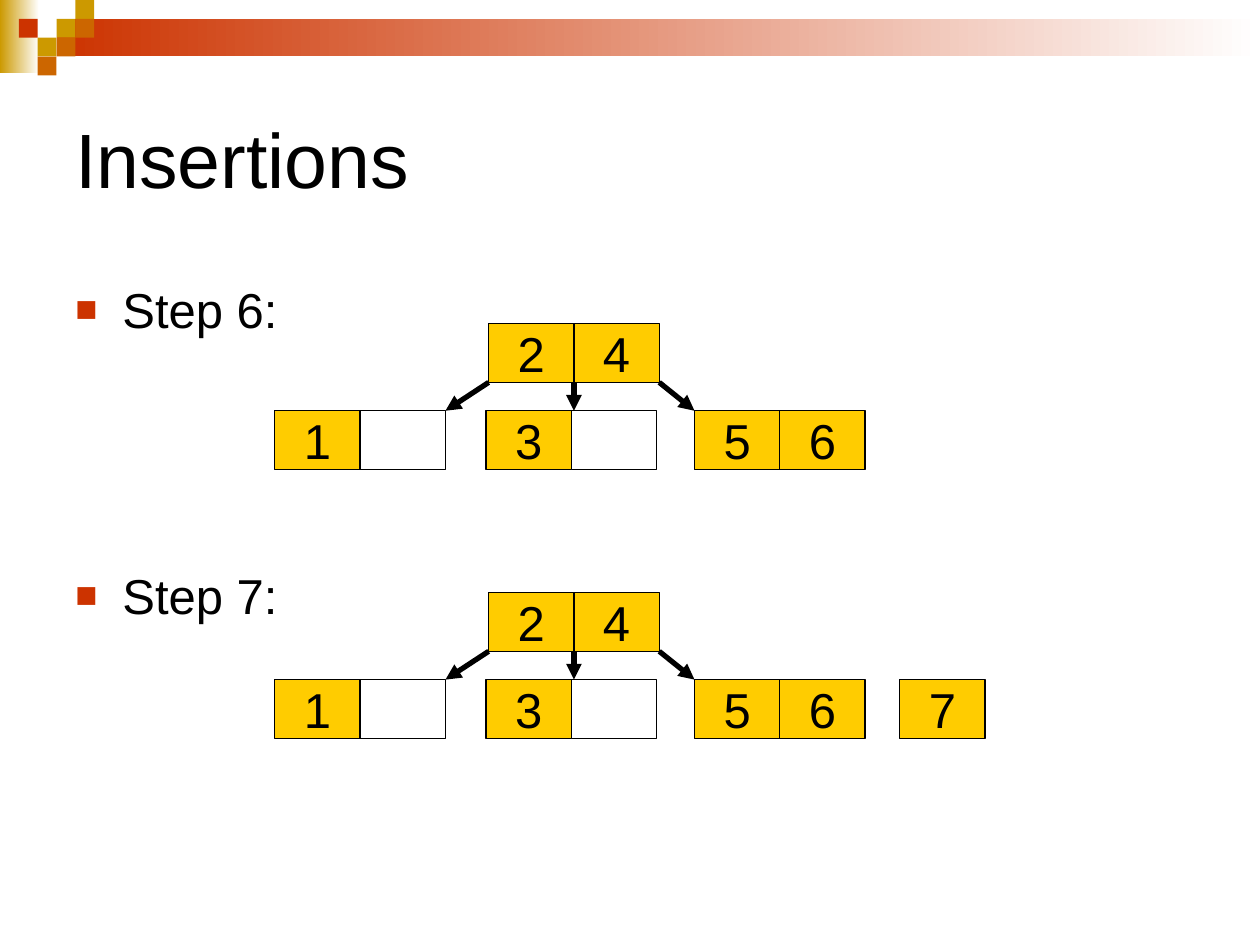
"""Build the slide on insertions into a 2-3 tree, steps 6 and 7."""
from dataclasses import dataclass

from lxml import etree
from pptx import Presentation
from pptx.dml.color import RGBColor
from pptx.enum.shapes import MSO_CONNECTOR, MSO_SHAPE
from pptx.enum.text import MSO_ANCHOR, PP_ALIGN
from pptx.oxml.ns import qn
from pptx.util import Cm, Pt

RECTANGLE = MSO_SHAPE.RECTANGLE
STRAIGHT = MSO_CONNECTOR.STRAIGHT
MIDDLE, TOP = MSO_ANCHOR.MIDDLE, MSO_ANCHOR.TOP
LEFT, CENTER = PP_ALIGN.LEFT, PP_ALIGN.CENTER


@dataclass(frozen=True)
class Theme:
    font: str = "Arial"
    ink: str = "000000"
    paper: str = "FFFFFF"
    key: str = "FFCC00"
    gold: str = "CC9900"
    orange: str = "CC6600"
    red: str = "CC3300"
    title_size: int = 44
    body_size: int = 28
    cell_line: float = 0.75
    arrow_line: float = 3


@dataclass(frozen=True)
class Node:
    left: float
    top: float
    keys: tuple[str, ...]

    @property
    def right(self) -> float:
        return self.left + len(self.keys) * CELL_WIDTH

    @property
    def bottom(self) -> float:
        return self.top + CELL_HEIGHT


@dataclass(frozen=True)
class Tile:
    column: int
    row: int
    color: str


@dataclass(frozen=True)
class Step:
    label: str
    space_before: float
    root_top: float
    extra_key: str = ""


THEME = Theme()
CELL_WIDTH, CELL_HEIGHT = 1.72, 1.19
TILE_SIZE = 0.38
ROOT_LEFT, LEAF_DROP, EXTRA_LEFT = 9.85, 1.76, 18.14
LEAVES = ((5.54, ("1", "")), (9.8, ("3", "")), (14, ("5", "6")))
STEPS = (Step("Step 6:", 7, 6.52), Step("Step 7:", 130, 11.94, "7"))
TILES = (
    Tile(3, 1, THEME.gold),
    Tile(4, 0, THEME.gold),
    Tile(4, 1, THEME.orange),
    Tile(2, 2, THEME.gold),
    Tile(1, 1, THEME.red),
    Tile(3, 2, THEME.orange),
    Tile(2, 3, THEME.orange),
)


def color(value: str) -> RGBColor:
    return RGBColor.from_string(value)


def write(paragraph, text: str, *, size: float, align=LEFT, space_before: float = 0) -> None:
    paragraph.alignment = align
    paragraph.space_before = Pt(space_before)
    run = paragraph.add_run()
    run.text = text
    run.font.name = THEME.font
    run.font.size = Pt(size)
    run.font.color.rgb = color(THEME.ink)


def add_bullet(paragraph) -> None:
    properties = paragraph._p.get_or_add_pPr()
    indent = Cm(0.95)
    properties.set("marL", str(indent))
    properties.set("indent", str(-indent))
    bullet_color = etree.SubElement(properties, qn("a:buClr"))
    etree.SubElement(bullet_color, qn("a:srgbClr"), val=THEME.red)
    etree.SubElement(properties, qn("a:buSzPct"), val="75000")
    etree.SubElement(properties, qn("a:buFont"), typeface=THEME.font)
    etree.SubElement(properties, qn("a:buChar"), char="■")


def add_rectangle(slide, left: float, top: float, width: float, height: float,
                  fill: str, fade_to: str = ""):
    rectangle = slide.shapes.add_shape(RECTANGLE, Cm(left), Cm(top), Cm(width), Cm(height))
    rectangle.shadow.inherit = False
    rectangle.line.fill.background()
    if fade_to:
        rectangle.fill.gradient()
        rectangle.fill.gradient_angle = 0
        for stop, value in zip(rectangle.fill.gradient_stops, (fill, fade_to)):
            stop.color.rgb = color(value)
    else:
        rectangle.fill.solid()
        rectangle.fill.fore_color.rgb = color(fill)
    return rectangle


def add_text_frame(slide, top: float, height: float, anchor):
    frame = slide.shapes.add_textbox(Cm(1.27), Cm(top), Cm(22.86), Cm(height)).text_frame
    frame.word_wrap = True
    frame.vertical_anchor = anchor
    return frame


def add_node(slide, node: Node) -> None:
    for index, key in enumerate(node.keys):
        cell = add_rectangle(slide, node.left + index * CELL_WIDTH, node.top, CELL_WIDTH,
                             CELL_HEIGHT, THEME.key if key else THEME.paper)
        cell.line.color.rgb = color(THEME.ink)
        cell.line.width = Pt(THEME.cell_line)
        if key:
            cell.text_frame.word_wrap = False
            cell.text_frame.vertical_anchor = MIDDLE
            write(cell.text_frame.paragraphs[0], key, size=THEME.body_size, align=CENTER)


def add_arrow(slide, start: tuple[float, float], end: tuple[float, float]) -> None:
    arrow = slide.shapes.add_connector(STRAIGHT, *map(Cm, start + end))
    arrow.line.color.rgb = color(THEME.ink)
    arrow.line.width = Pt(THEME.arrow_line)
    etree.SubElement(arrow.line._get_or_add_ln(), qn("a:tailEnd"), type="triangle")
    etree.SubElement(arrow._element.spPr, qn("a:effectLst"))


def add_tree(slide, step: Step) -> None:
    root = Node(ROOT_LEFT, step.root_top, ("2", "4"))
    leaf_top = root.top + LEAF_DROP
    leaves = [Node(left, leaf_top, keys) for left, keys in LEAVES]
    for node in (root, *leaves):
        add_node(slide, node)
    if step.extra_key:
        add_node(slide, Node(EXTRA_LEFT, leaf_top, (step.extra_key,)))
    root_middle = root.left + CELL_WIDTH
    for start, end in ((root.left, leaves[0].right), (root_middle, root_middle),
                       (root.right, leaves[2].left)):
        add_arrow(slide, (start, root.bottom), (end, leaf_top))


def add_banner(slide) -> None:
    add_rectangle(slide, 0, 0, 0.79, 1.47, THEME.gold, THEME.paper)
    add_rectangle(slide, 1.14, 0.38, 24.26, 0.76, THEME.red, THEME.paper)
    for tile in TILES:
        add_rectangle(slide, tile.column * TILE_SIZE, tile.row * TILE_SIZE,
                      TILE_SIZE, TILE_SIZE, tile.color)


def main() -> None:
    deck = Presentation()
    deck.slide_width, deck.slide_height = Cm(25.4), Cm(19.05)
    slide = deck.slides.add_slide(deck.slide_layouts[6])
    add_banner(slide)
    title = add_text_frame(slide, 1.27, 3.81, MIDDLE)
    write(title.paragraphs[0], "Insertions", size=THEME.title_size)
    body = add_text_frame(slide, 5.51, 10.8, TOP)
    for index, step in enumerate(STEPS):
        paragraph = body.add_paragraph() if index else body.paragraphs[0]
        write(paragraph, step.label, size=THEME.body_size, space_before=step.space_before)
        add_bullet(paragraph)
        add_tree(slide, step)
    deck.save("out.pptx")


if __name__ == "__main__":
    main()
